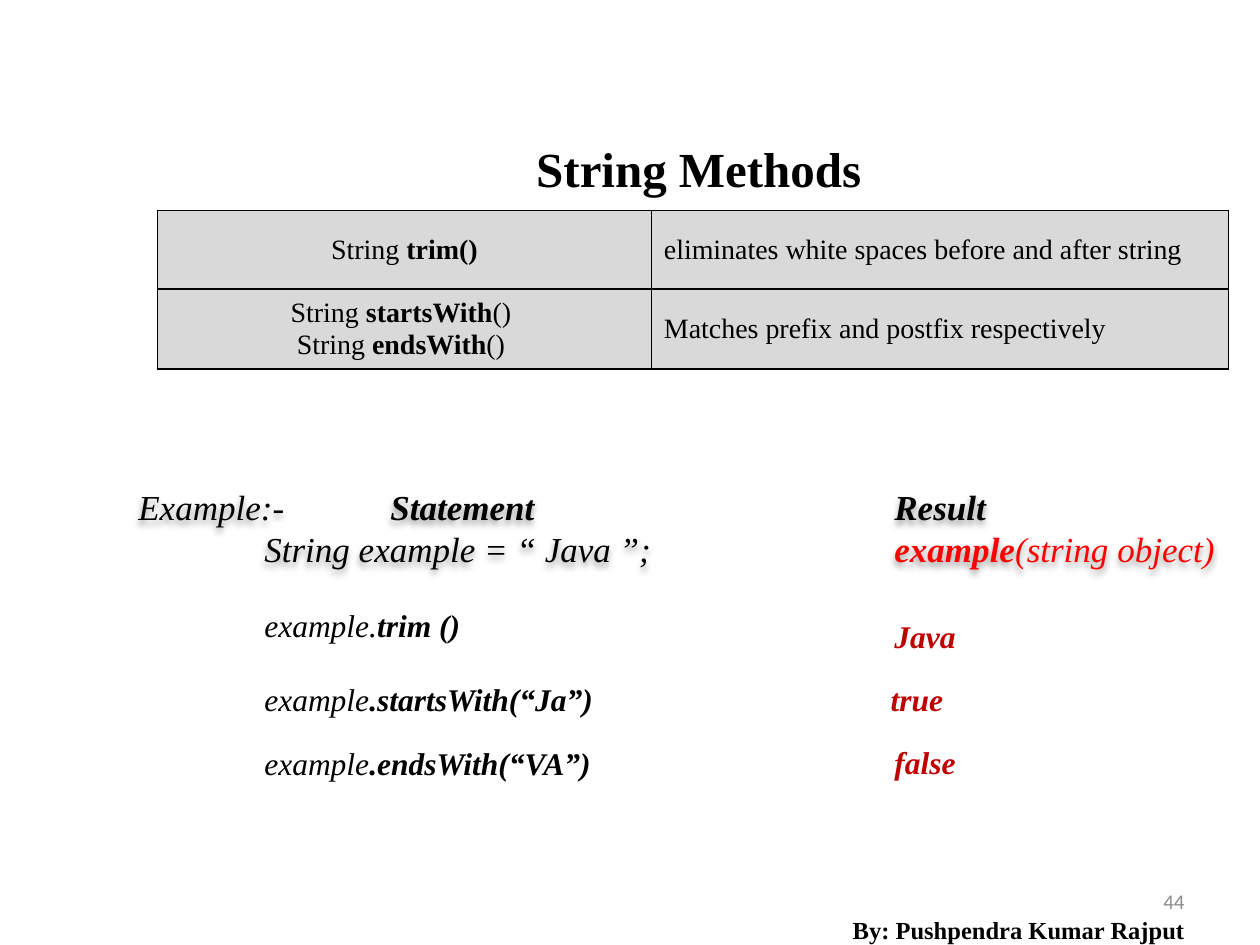
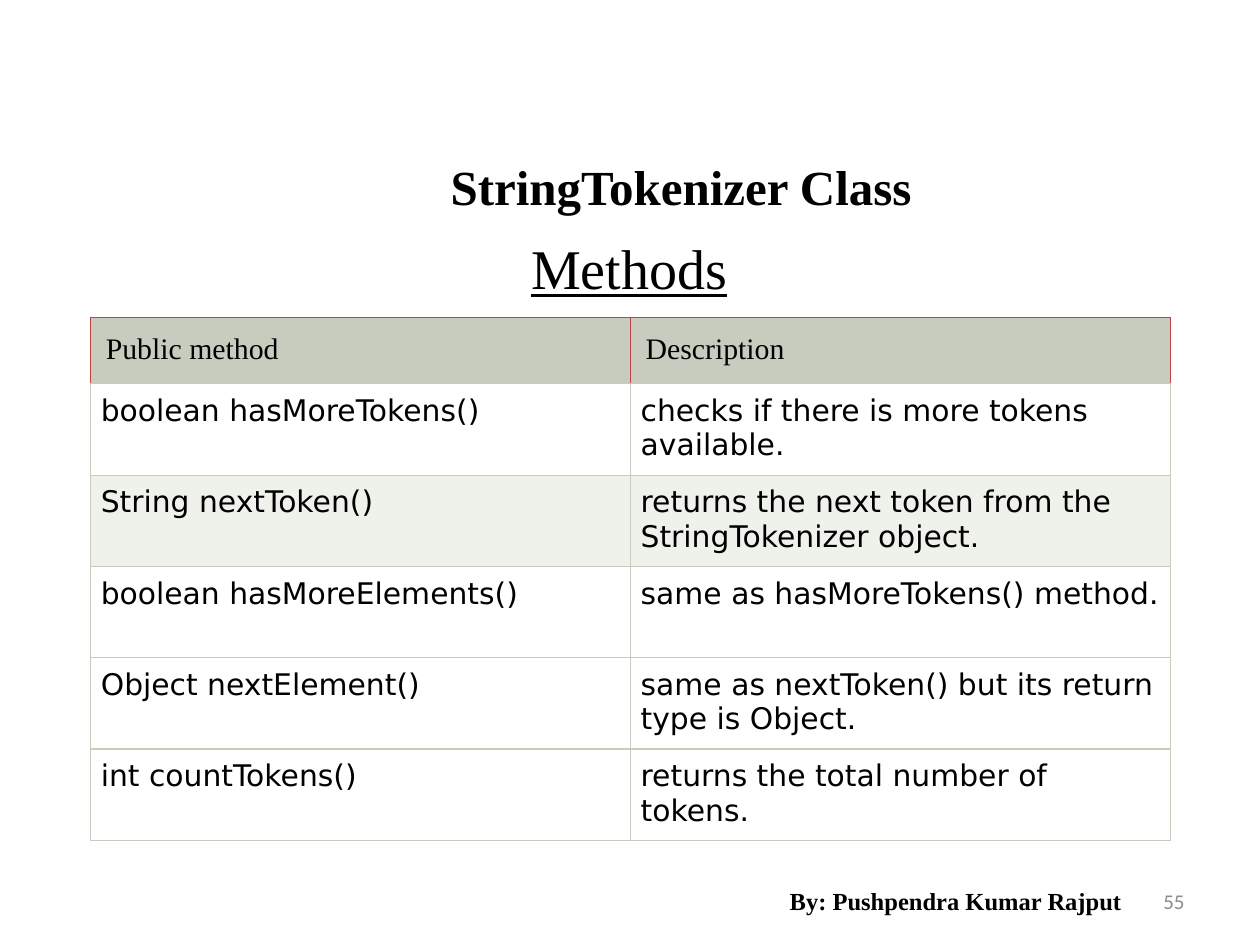
from lxml import etree
from pptx import Presentation
from pptx.dml.color import RGBColor
from pptx.enum.text import MSO_ANCHOR, PP_ALIGN
from pptx.oxml import parse_xml
from pptx.oxml.ns import nsdecls, qn
from pptx.util import Inches, Pt

LEFT, MID, RIGHT = PP_ALIGN.LEFT, PP_ALIGN.CENTER, PP_ALIGN.RIGHT
TOP, HALF = MSO_ANCHOR.TOP, MSO_ANCHOR.MIDDLE
HUES = {"ink": "000000", "page": "8C8C8C", "red": "FF0000", "dark": "C00000",
        "grey": "D9D9D9", "sage": "C7CCBE", "pale": "EFF1EB",
        "white": "FFFFFF", "rust": "C04241"}
SERIF, SANS, PLAIN = "Times New Roman", "Calibri", "DejaVu Sans"
INSET = (0.1, 0.05, 0.1, 0.05)
SIDES = ("L", "R", "T", "B")


def hue(name):
    return RGBColor.from_string(HUES[name])


def fill_text(frame, lines, size, font=SERIF, align=LEFT, tabs=()):
    for n, runs in enumerate(lines):
        para = frame.paragraphs[0] if n == 0 else frame.add_paragraph()
        para.alignment = align
        if tabs:
            stops = etree.SubElement(para._p.get_or_add_pPr(), qn("a:tabLst"))
            for pos in tabs:
                etree.SubElement(stops, qn("a:tab"), pos=str(Inches(pos)), algn="l")
        for words, marks, tint in runs:
            run = para.add_run()
            run.text = words
            face = run.font
            face.name, face.size = font, Pt(size)
            face.bold, face.italic = "b" in marks, "i" in marks
            face.underline = "u" in marks
            face.color.rgb = hue(tint)


def set_inset(item, inset):
    (item.margin_left, item.margin_top,
     item.margin_right, item.margin_bottom) = map(Inches, inset)


def add_text(slide, box, lines, size, anchor=TOP, **style):
    shape = slide.shapes.add_textbox(*map(Inches, box))
    frame = shape.text_frame
    frame.word_wrap = True
    frame.vertical_anchor = anchor
    set_inset(frame, INSET)
    fill_text(frame, lines, size, **style)
    return shape


def add_title(slide, left, top, words):
    shape = add_text(slide, (left, top, 7.75, 0.58), [[(words, "b", "ink")]],
                     28, align=MID)
    shape.text_frame.paragraphs[0].line_spacing = 1.1


def add_foot(slide, left, top, number):
    add_text(slide, (7.17, 6.95, 2.33, 0.4), [[(number, "", "page")]], 12,
             HALF, font=SANS, align=RIGHT)
    add_text(slide, (left, top, 3.17, 0.4),
             [[("By: Pushpendra Kumar Rajput", "b", "ink")]], 14, HALF, align=MID)


def add_grid(slide, box, cols, rows):
    grid = slide.shapes.add_table(len(rows), len(cols), *map(Inches, box)).table
    for col, wide in zip(grid.columns, cols):
        col.width = Inches(wide)
    for row, high in zip(grid.rows, rows):
        row.height = Inches(high)
    return grid


def style_cell(cell, fill, tints, width):
    cell.fill.solid()
    cell.fill.fore_color.rgb = hue(fill)
    props = cell._tc.get_or_add_tcPr()
    for n, (side, tint) in enumerate(zip(SIDES, tints)):
        props.insert(n, parse_xml(
            f'<a:ln{side} {nsdecls("a")} w="{Pt(width)}"><a:solidFill>'
            f'<a:srgbClr val="{HUES[tint]}"/></a:solidFill></a:ln{side}>'))


def add_calls(slide, box):
    calls = [
        ([[("String ", "", "ink"), ("trim()", "b", "ink")]],
         "eliminates white spaces before and after string"),
        ([[("String ", "", "ink"), (name, "b", "ink"), ("() ", "", "ink")]
          for name in ("startsWith", "endsWith")],
         "Matches prefix and postfix respectively"),
    ]
    grid = add_grid(slide, box, (3.92, 4.58), [box[3] / 2] * 2)
    for r, (name, use) in enumerate(calls):
        for c, (lines, align) in enumerate(
                ((name, MID), ([[(use, "", "ink")]], LEFT))):
            cell = grid.cell(r, c)
            cell.vertical_anchor = HALF
            fill_text(cell.text_frame, lines, 16, align=align)
            style_cell(cell, "grey", ["ink"] * 4, 1)


def add_demo(slide, box):
    left, top, wide, high = box
    head = add_text(slide, box, [
        [("Example:-\t", "i", "ink"), ("Statement\tResult", "bi", "ink")],
        [("\tString example = “ Java ”;\t", "i", "ink"),
         ("example", "bi", "red"), ("(string object)", "i", "red")],
    ], 20, tabs=(1, 2, 6))
    head._element.spPr.append(parse_xml(
        f'<a:effectLst {nsdecls("a")}><a:outerShdw blurRad="{Pt(4)}" '
        f'dist="{Pt(3)}" dir="5400000" algn="t" rotWithShape="0">'
        '<a:srgbClr val="000000"><a:alpha val="40000"/></a:srgbClr>'
        '</a:outerShdw></a:effectLst>'))
    steps = [("example.", "trim ()", 0.96, "Java", 6, 1.05),
             ("example", ".startsWith(“Ja”)", 1.55, "true", 5.97, 1.55),
             ("example", ".endsWith(“VA”)", 2.06, "false", 6, 2.05)]
    for name, call, down, out, shift, drop in steps:
        add_text(slide, (left + 1, top + down, 3, 0.4),
                 [[(name, "i", "ink"), (call, "bi", "ink")]], 18)
        add_text(slide, (left + shift, top + drop, 1, 0.4),
                 [[(out, "bi", "dark")]], 18)


def add_list(slide, box):
    rows = [
        ("Public method", "Description"),
        ("boolean hasMoreTokens()", "checks if there is more tokens available."),
        ("String nextToken()",
         "returns the next token from the StringTokenizer object."),
        ("boolean hasMoreElements()", "same as hasMoreTokens() method."),
        ("Object nextElement()",
         "same as nextToken() but its return type is Object."),
        ("int countTokens()", "returns the total number of tokens."),
    ]
    grid = add_grid(slide, box, [box[2] / 2] * 2, [0.52] + [0.72] * 5)
    fills = ["sage", "white", "pale", "white", "white", "white"]
    for r, (pair, fill) in enumerate(zip(rows, fills)):
        top = r == 0
        tints = ["rust"] * 3 + ["sage"] if top else ["sage"] * 4
        for c, words in enumerate(pair):
            cell = grid.cell(r, c)
            set_inset(cell, [0.12 if top else 0.08] * 4)
            fill_text(cell.text_frame, [[(words, "", "ink")]], 17,
                      font=SERIF if top else PLAIN)
            style_cell(cell, fill, tints, 0.75)


def make_string(slide):
    add_foot(slide, 6.5, 7.18, "44")
    add_title(slide, 1.67, 1, "String Methods")
    add_calls(slide, (1.25, 1.67, 8.5, 1.25))
    add_demo(slide, (1, 3.8, 9, 2.52))


def make_token(slide):
    add_foot(slide, 6, 6.95, "55")
    add_text(slide, (0.58, 1.8, 8.83, 4.88), [[("Methods", "u", "ink")]], 32,
             align=MID)
    add_title(slide, 1.53, 1.15, "StringTokenizer Class")
    add_list(slide, (0.72, 2.52, 8.57, 4.12))


def main():
    deck = Presentation()
    deck.slide_width, deck.slide_height = Inches(10), Inches(7.5)
    for make in (make_string, make_token):
        make(deck.slides.add_slide(deck.slide_layouts[6]))
    deck.save("out.pptx")


if __name__ == "__main__":
    main()
